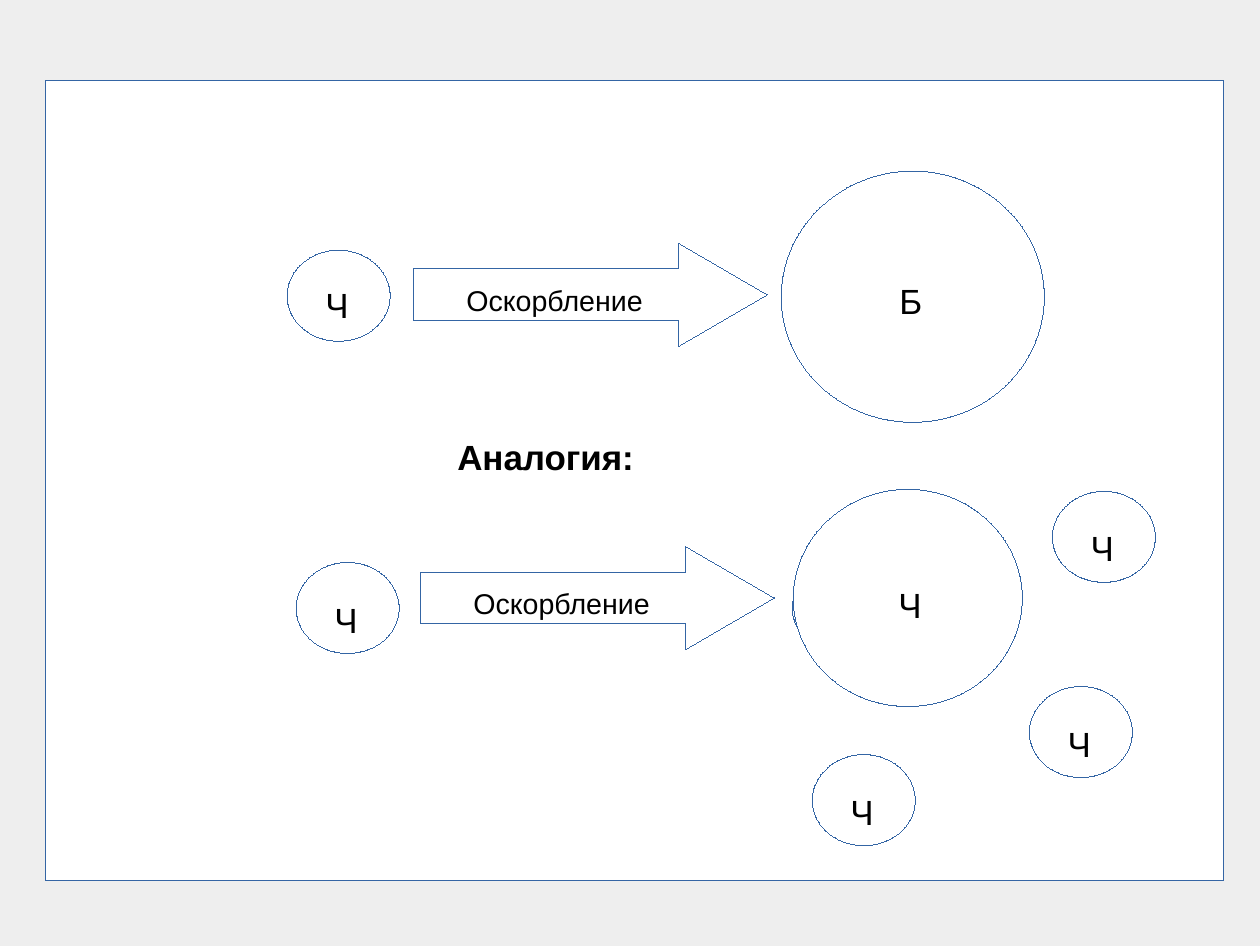
import pptx
import pptx.util
import pptx.dml.color
import pptx.enum.shapes
import pptx.enum.text
from dataclasses import dataclass


@dataclass(frozen=True)
class Theme:
    font: str = "Arial"
    page: str = "EEEEEE"
    fill: str = "FFFFFF"
    line: str = "3465A4"
    ink: str = "000000"
    large: int = 22
    medium: int = 18


theme = Theme()
SCALE = 8000  # EMU per px
color = pptx.dml.color.RGBColor.from_string
preset = pptx.enum.shapes.MSO_SHAPE

deck = pptx.Presentation()
deck.slide_width = pptx.util.Inches(11.02)
deck.slide_height = pptx.util.Inches(8.27)
page = deck.slides.add_slide(deck.slide_layouts[6])
page.background.fill.solid()
page.background.fill.fore_color.rgb = color(theme.page)


def add_outline(kind, left, top, width, height):
    shape = page.shapes.add_shape(kind, *(n * SCALE for n in (left, top, width, height)))
    shape.shadow.inherit = False
    shape.fill.solid()
    shape.fill.fore_color.rgb = color(theme.fill)
    shape.line.color.rgb = color(theme.line)
    # A hairline needs an explicit zero width
    shape.element.spPr.get_or_add_ln().set("w", "0")
    return shape


def add_label(text, left, top, width=46, height=46, size=theme.large, bold=False):
    box = page.shapes.add_textbox(*(n * SCALE for n in (left, top, width, height)))
    frame = box.text_frame
    frame.word_wrap = False
    frame.auto_size = pptx.enum.text.MSO_AUTO_SIZE.SHAPE_TO_FIT_TEXT
    span = frame.paragraphs[0].add_run()
    span.text = text
    span.font.name = theme.font
    span.font.size = pptx.util.Pt(size)
    span.font.bold = bold
    span.font.color.rgb = color(theme.ink)


# White panel
add_outline(preset.RECTANGLE, 46, 80, 1177, 800)

# Large circles, the lower one over a small circle
add_outline(preset.OVAL, 781, 171, 263, 251)
add_label("Б", 888, 274)
add_outline(preset.OVAL, 792, 562, 103, 91)
add_outline(preset.OVAL, 793, 489, 229, 217)
add_label("Ч", 887, 578)

# Small circles with the drop of each letter
for left, top, drop in [
    (287, 250, 28),
    (296, 562, 30),
    (1029, 686, 30),
    (1052, 491, 30),
    (812, 754, 30),
]:
    add_outline(preset.OVAL, left, top, 103, 91)
    add_label("Ч", left + 27, top + drop)

# Arrows
for left, top in [(413, 243), (420, 546)]:
    arrow = add_outline(preset.RIGHT_ARROW, left, top, 354, 103)
    arrow.adjustments[0] = 0.5
    arrow.adjustments[1] = 0.86
    add_label("Оскорбление", left + 42, top + 34, 200, 40, size=theme.medium)

# Heading between the two rows
add_label("Аналогия:", 446, 430, 200, bold=True)

deck.save("out.pptx")
